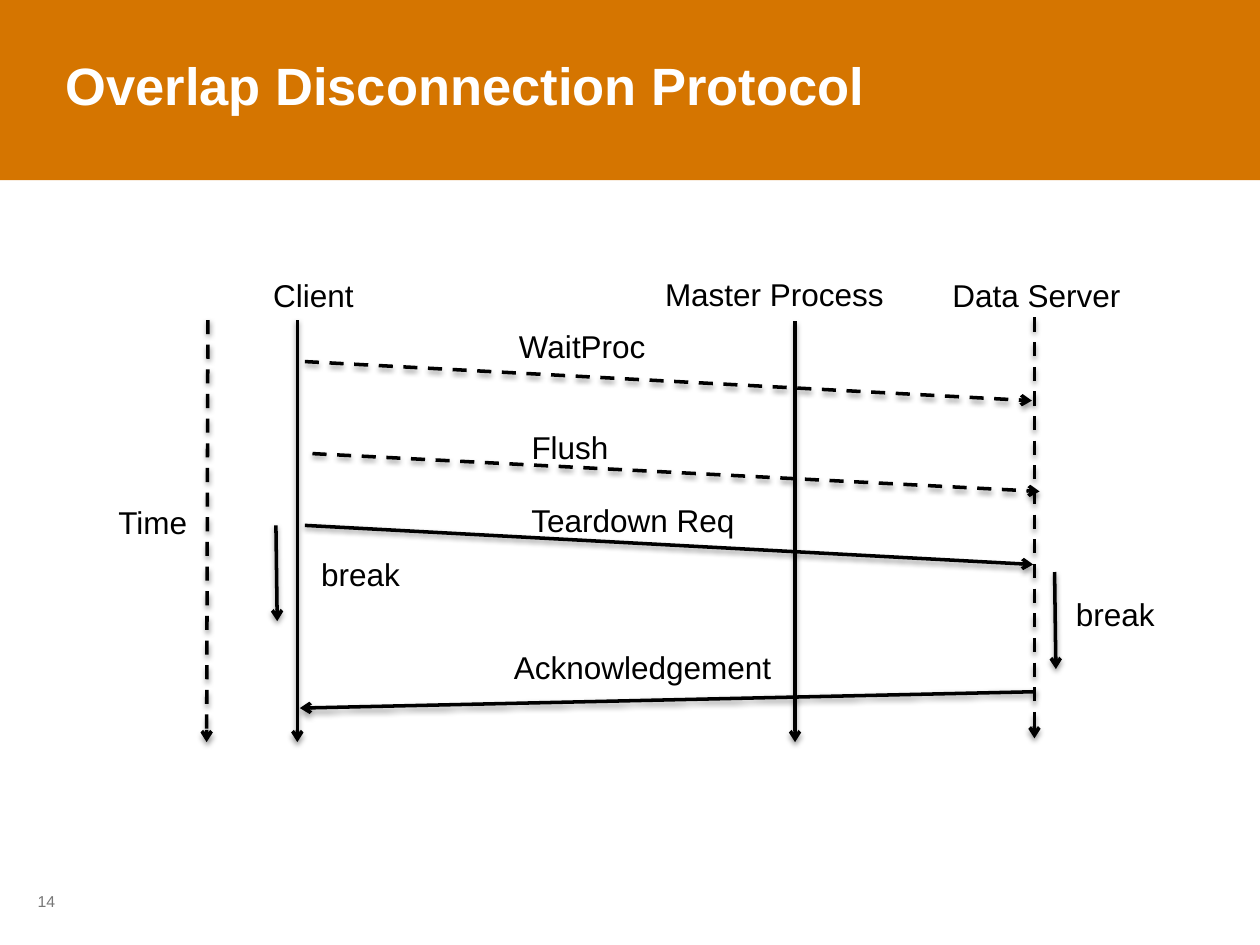
from lxml import etree
from pptx import Presentation
from pptx.dml.color import RGBColor
from pptx.enum import dml, shapes, text
from pptx.oxml import parse_xml
from pptx.oxml.ns import nsdecls, qn
from pptx.util import Inches, Pt

ORANGE = RGBColor(0xD5, 0x75, 0x00)
WHITE = RGBColor(0xFF, 0xFF, 0xFF)
BLACK = RGBColor(0, 0, 0)
GRAY = RGBColor(0x77, 0x77, 0x77)

SHADOW = (
    f'<a:effectLst {nsdecls("a")}>'
    '<a:outerShdw blurRad="39370" dist="20320" dir="5400000" rotWithShape="0">'
    '<a:srgbClr val="000000"><a:alpha val="38000"/></a:srgbClr>'
    '</a:outerShdw></a:effectLst>'
)

# Start x, start y, end x, end y, dashed
LIFELINES = [
    (1.65, 2.54, 1.64, 5.89, True),
    (2.36, 2.54, 2.36, 5.89, False),
    (6.31, 2.55, 6.31, 5.89, False),
    (8.21, 2.52, 8.21, 5.86, True),
]
MESSAGES = [
    (2.42, 2.87, 8.19, 3.18, True),
    (2.48, 3.6, 8.25, 3.9, True),
    (2.42, 4.17, 8.2, 4.48, False),
    (8.22, 5.49, 2.38, 5.62, False),
]
BREAKS = [
    (2.19, 4.17, 2.2, 4.93, False),
    (8.37, 4.54, 8.38, 5.31, False),
]

# Wording, left, top, width
LABELS = [
    ("Client", 2.07, 2.14, 0.85),
    ("Master Process", 5.18, 2.13, 1.96),
    ("Data Server", 7.46, 2.14, 1.55),
    ("Time", 0.84, 3.94, 0.75),
    ("WaitProc", 4.02, 2.55, 1.31),
    ("Flush", 4.12, 3.35, 0.88),
    ("Teardown Req", 4.12, 3.93, 1.83),
    ("Acknowledgement", 3.98, 5.09, 3.08),
    ("break", 2.45, 4.36, 1.31),
    ("break", 8.44, 4.67, 1.31),
]
UNWRAPPED = {"Client", "Data Server", "Time"}


def add_span(para, wording, size, color, bold=False):
    span = para.add_run()
    span.text = wording
    span.font.name = "Arial"
    span.font.size = Pt(size)
    span.font.bold = bold
    span.font.color.rgb = color


def add_band(slide):
    band = slide.shapes.add_shape(
        shapes.MSO_SHAPE.RECTANGLE, 0, 0, Inches(10), Inches(1.43))
    band.shadow.inherit = False
    band.fill.solid()
    band.fill.fore_color.rgb = ORANGE
    band.line.fill.background()
    # Place the band behind the title
    slide.shapes.title.element.addprevious(band.element)


def format_title(slide, wording):
    title = slide.shapes.title
    title.left, title.top = Inches(0.52), Inches(0.5)
    title.width, title.height = Inches(8.97), Inches(1.08)
    frame = title.text_frame
    frame.margin_left = frame.margin_right = 0
    frame.margin_top = frame.margin_bottom = 0
    frame.vertical_anchor = text.MSO_ANCHOR.TOP
    para = frame.paragraphs[0]
    para.alignment = text.PP_ALIGN.LEFT
    para.line_spacing = 0.85
    add_span(para, wording, 30, WHITE, bold=True)


def add_label(slide, wording, left, top, width, height=0.4, size=18,
              color=BLACK, wrap=True):
    box = slide.shapes.add_textbox(
        Inches(left), Inches(top), Inches(width), Inches(height))
    box.text_frame.word_wrap = wrap
    add_span(box.text_frame.paragraphs[0], wording, size, color)


def add_arrow(slide, start_x, start_y, end_x, end_y, dashed):
    arrow = slide.shapes.add_connector(
        shapes.MSO_CONNECTOR.STRAIGHT,
        Inches(start_x), Inches(start_y), Inches(end_x), Inches(end_y))
    arrow.line.color.rgb = BLACK
    arrow.line.width = Pt(2)
    if dashed:
        arrow.line.dash_style = dml.MSO_LINE.DASH
    # Arrowhead and soft shadow
    outline = arrow.line._get_or_add_ln()
    etree.SubElement(outline, qn("a:tailEnd"), type="arrow")
    outline.addnext(parse_xml(SHADOW))


def main():
    deck = Presentation()
    deck.slide_width, deck.slide_height = Inches(10), Inches(7.5)
    slide = deck.slides.add_slide(deck.slide_layouts[5])

    # Heading and page number
    add_band(slide)
    format_title(slide, "Overlap Disconnection Protocol")
    add_label(slide, "14", 0.2, 7.03, 0.67, height=0.25, size=9, color=GRAY)

    # Sequence diagram
    for ends in LIFELINES + MESSAGES + BREAKS:
        add_arrow(slide, *ends)
    for wording, left, top, width in LABELS:
        add_label(slide, wording, left, top, width,
                  wrap=wording not in UNWRAPPED)

    deck.save("out.pptx")


if __name__ == "__main__":
    main()
